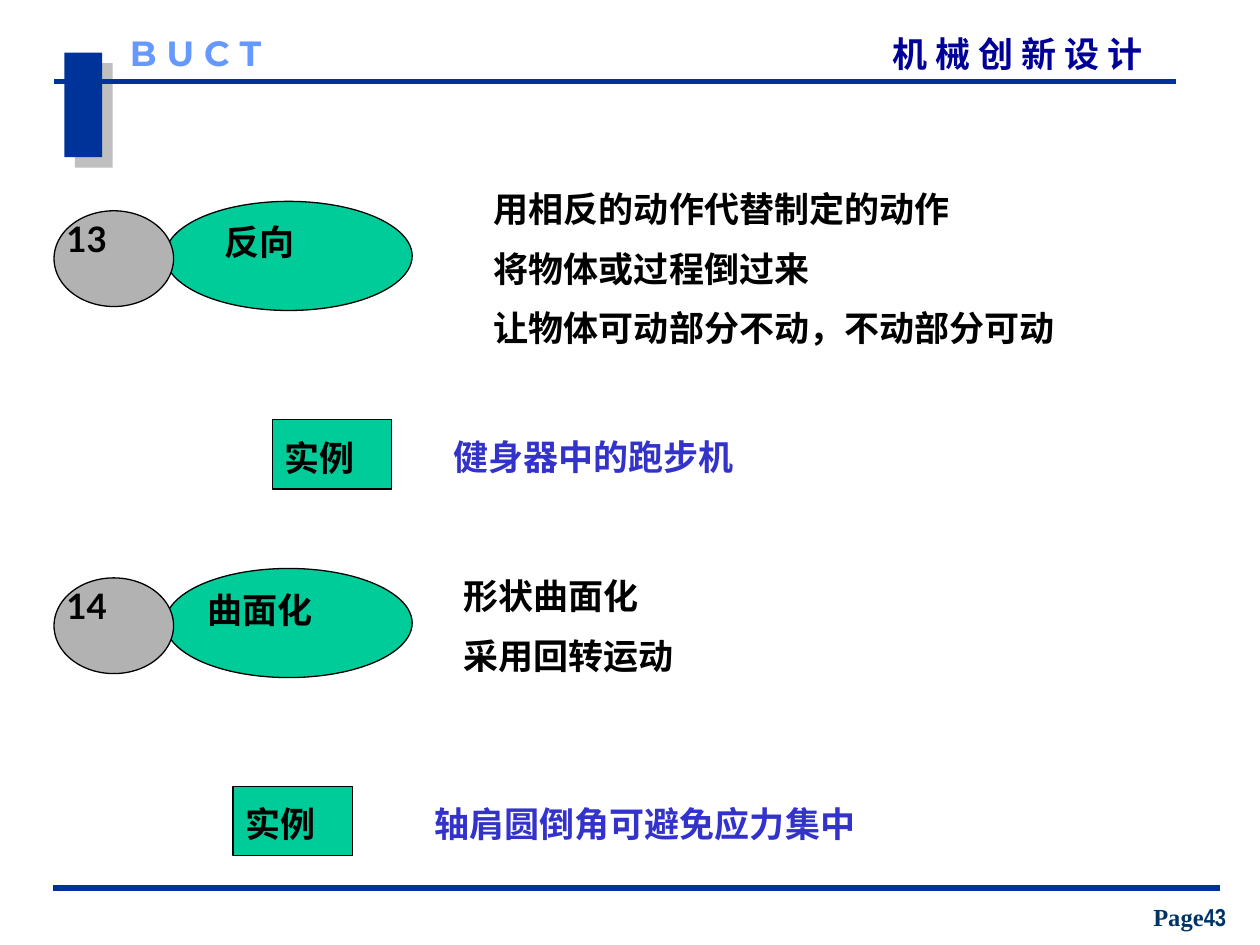
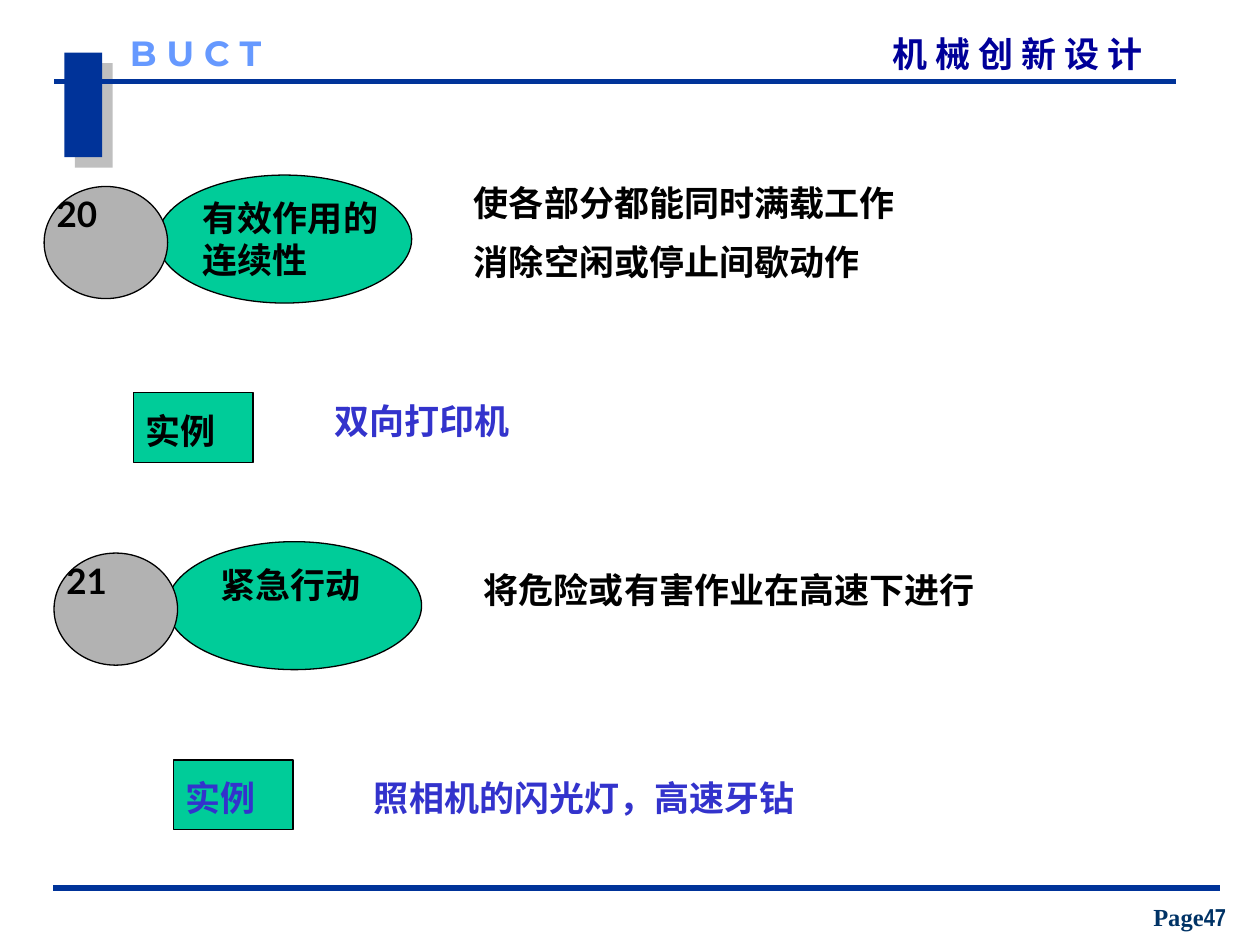
"""Build two slides of inventive principles, each with two principles and their examples."""
import pptx
import pptx.dml.color
import pptx.enum.shapes
import pptx.enum.text
import pptx.oxml
import pptx.oxml.ns
import pptx.util
from lxml import etree

Cm = pptx.util.Cm
Pt = pptx.util.Pt
RGBColor = pptx.dml.color.RGBColor
SHAPE = pptx.enum.shapes.MSO_SHAPE
ANCHOR = pptx.enum.text.MSO_ANCHOR
ALIGN = pptx.enum.text.PP_ALIGN
qn = pptx.oxml.ns.qn

NAVY = RGBColor(0x00, 0x33, 0x99)
HEADER_BLUE = RGBColor(0x00, 0x00, 0x99)
LIGHT_BLUE = RGBColor(0x66, 0x99, 0xFF)
PAGE_BLUE = RGBColor(0x00, 0x33, 0x66)
EXAMPLE_BLUE = RGBColor(0x33, 0x33, 0xCC)
GREEN = RGBColor(0x00, 0xCC, 0x99)
GREY = RGBColor(0xB2, 0xB2, 0xB2)
BLACK = RGBColor(0x00, 0x00, 0x00)

HEADER = {"name": "Noto Sans CJK SC", "size": Pt(20), "bold": True}
BRAND = {"name": "Montserrat", "size": Pt(20), "bold": True}
TEXT = {"name": "Lato", "size": Pt(20), "bold": True}
PAGE = {"name": "Times New Roman", "size": Pt(14), "bold": True}
PAGE_NUMBER = {**PAGE, "name": "Arial Narrow"}
NO_MARGINS = {"margin_left": 0, "margin_top": 0, "margin_right": 0, "margin_bottom": 0}

MARKER_SHADOW = (
    '<a:effectLst xmlns:a="http://schemas.openxmlformats.org/drawingml/2006/main">'
    '<a:outerShdw blurRad="0" dist="107950" dir="2700000" algn="ctr" rotWithShape="0">'
    '<a:srgbClr val="808080"><a:alpha val="50000"/></a:srgbClr>'
    "</a:outerShdw></a:effectLst>"
)
RULES = [(1.09, 23.7, 1.64), (1.07, 24.59, 17.9)]
TAG_SIZE = (2.41, 1.4)

SLIDES = [
    {
        "page": "43",
        "oval_size": (4.98, 2.2),
        "badge_size": (2.41, 1.93),
        "oval_offset": (2.24, -0.19),
        "principles": [
            {
                "number": "13", "badge": (1.09, 4.25),
                "name": "反向", "name_left": 4.27,
                "list": (9.7, 3.66, 14.4, 4.32),
                "lines": ["用相反的动作代替制定的动作", "将物体或过程倒过来", "让物体可动部分不动，不动部分可动"],
                "tag": (5.49, 8.46), "tag_color": BLACK,
                "example": "健身器中的跑步机", "example_at": (8.89, 8.66),
            },
            {
                "number": "14", "badge": (1.09, 11.65),
                "name": "曲面化", "name_left": 3.94,
                "list": (9.09, 11.46, 7.39, 2.79),
                "lines": ["形状曲面化", "采用回转运动"],
                "tag": (4.7, 15.85), "tag_color": BLACK,
                "example": "轴肩圆倒角可避免应力集中", "example_at": (8.51, 16.05),
            },
        ],
    },
    {
        "page": "47",
        "oval_size": (5.13, 2.58),
        "badge_size": (2.49, 2.26),
        "oval_offset": (2.28, -0.23),
        "principles": [
            {
                "number": "20", "badge": (0.89, 3.76),
                "name": "有效作用的连续性", "name_left": 3.84,
                "list": (9.3, 3.53, 14.4, 2.79),
                "lines": ["使各部分都能同时满载工作", "消除空闲或停止间歇动作"],
                "tag": (2.69, 7.92), "tag_color": BLACK,
                "example": "双向打印机", "example_at": (6.5, 7.92),
            },
            {
                "number": "21", "badge": (1.09, 11.15),
                "name": "紧急行动", "name_left": 4.2,
                "list": (9.5, 11.33, 13.41, 1.27),
                "lines": ["将危险或有害作业在高速下进行"],
                "tag": (3.5, 15.32), "tag_color": EXAMPLE_BLUE,
                "example": "照相机的闪光灯，高速牙钻", "example_at": (7.29, 15.52),
            },
        ],
    },
]


def write(shape, lines, formats, color, frame_formats=None):
    """Fill a shape with unbulleted, left-aligned lines of text."""
    frame = shape.text_frame
    frame.word_wrap = True
    frame.auto_size = pptx.enum.text.MSO_AUTO_SIZE.NONE
    frame.vertical_anchor = ANCHOR.TOP
    for attribute, value in (frame_formats or {}).items():
        setattr(frame, attribute, value)
    for index, line in enumerate(lines):
        paragraph = frame.add_paragraph() if index else frame.paragraphs[0]
        paragraph.alignment = ALIGN.LEFT
        paragraph.space_before = Pt(10 if index else 0)
        if shape.is_placeholder:
            properties = paragraph._p.get_or_add_pPr()
            properties.set("marL", "0")
            properties.set("indent", "0")
            etree.SubElement(properties, qn("a:buNone"))
        run = paragraph.add_run()
        run.text = line
        for attribute, value in formats.items():
            setattr(run.font, attribute, value)
        run.font.color.rgb = color


def draw(slide, kind, position, size, fill, outline=True):
    """Add a filled preset shape, with a thin black outline if wanted."""
    shape = slide.shapes.add_shape(kind, *map(Cm, position + size))
    shape.shadow.inherit = False
    shape.fill.solid()
    shape.fill.fore_color.rgb = fill
    if outline:
        shape.line.color.rgb = BLACK
        shape.line.width = Pt(0.75)
    else:
        shape.line.fill.background()
    return shape


presentation = pptx.Presentation()
presentation.slide_width = Cm(25.4)
presentation.slide_height = Cm(19.05)
two_content_layout = presentation.slide_layouts[3]

for content in SLIDES:
    slide = presentation.slides.add_slide(two_content_layout)

    marker = draw(slide, SHAPE.RECTANGLE, (1.3, 1.06), (0.76, 2.11), NAVY, outline=False)
    marker_properties = marker._element.spPr
    marker_properties.remove(marker_properties.find(qn("a:effectLst")))
    marker_properties.append(pptx.oxml.parse_xml(MARKER_SHADOW))

    for left, right, top in RULES:
        rule = slide.shapes.add_connector(
            pptx.enum.shapes.MSO_CONNECTOR.STRAIGHT, Cm(left), Cm(top), Cm(right), Cm(top))
        rule.line.color.rgb = NAVY
        rule.line.width = Pt(3)
        etree.SubElement(rule._element.spPr, qn("a:effectLst"))

    title = slide.shapes.title
    title.left, title.top, title.width, title.height = map(Cm, (18, 0.66, 6.2, 0.84))
    write(title, ["机 械 创 新 设 计"], HEADER, HEADER_BLUE, NO_MARGINS)

    brand = slide.shapes.add_textbox(*map(Cm, (2.62, 0.64, 3.6, 0.84)))
    write(brand, ["B U C T"], BRAND, LIGHT_BLUE, NO_MARGINS)

    page = slide.shapes.add_textbox(*map(Cm, (22.78, 18.06, 2.41, 0.84)))
    write(page, ["Page"], PAGE, PAGE_BLUE, {"vertical_anchor": ANCHOR.BOTTOM})
    page_paragraph = page.text_frame.paragraphs[0]
    page_paragraph.alignment = ALIGN.CENTER
    number_run = page_paragraph.add_run()
    number_run.text = content["page"]
    for attribute, value in PAGE_NUMBER.items():
        setattr(number_run.font, attribute, value)
    number_run.font.color.rgb = PAGE_BLUE

    for index, principle in enumerate(content["principles"], start=1):
        badge_left, badge_top = principle["badge"]
        offset_x, offset_y = content["oval_offset"]
        oval_position = (badge_left + offset_x, badge_top + offset_y)
        draw(slide, SHAPE.OVAL, oval_position, content["oval_size"], GREEN)
        name = slide.shapes.add_textbox(
            *map(Cm, (principle["name_left"], badge_top + 0.08, 4.15, 1.27)))
        write(name, [principle["name"]], TEXT, BLACK)

        draw(slide, SHAPE.OVAL, principle["badge"], content["badge_size"], GREY)
        number = slide.shapes.add_textbox(*map(Cm, (badge_left, badge_top, 1.65, 1.27)))
        write(number, [principle["number"]], TEXT, BLACK)

        body = slide.placeholders[index]
        body.left, body.top, body.width, body.height = map(Cm, principle["list"])
        write(body, principle["lines"], TEXT, BLACK)

        tag = draw(slide, SHAPE.RECTANGLE, principle["tag"], TAG_SIZE, GREEN)
        write(tag, ["实例"], TEXT, principle["tag_color"], {"margin_top": Cm(0.33)})
        example = slide.shapes.add_textbox(*map(Cm, principle["example_at"] + (13.4, 1.27)))
        write(example, [principle["example"]], TEXT, EXAMPLE_BLUE)

presentation.save("out.pptx")
